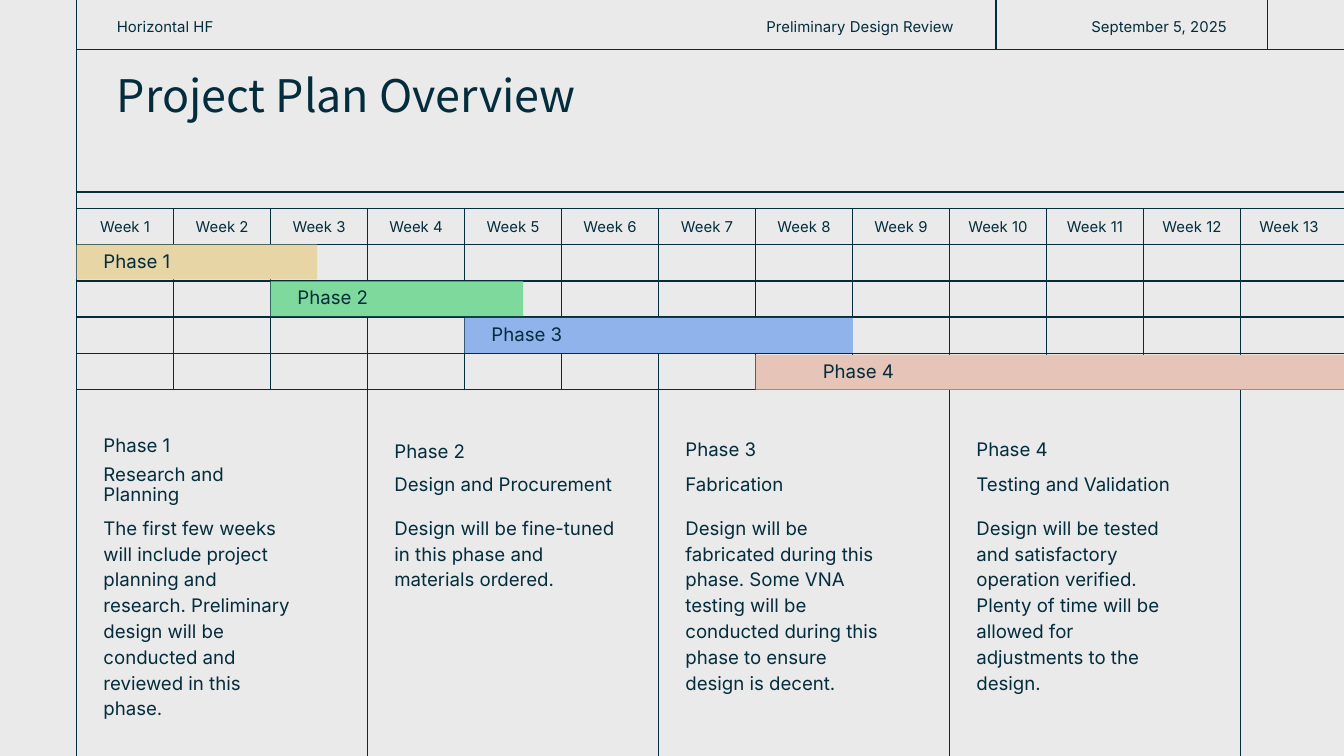
from dataclasses import dataclass
from pptx import Presentation
from pptx.dml.color import RGBColor as Rgb
from pptx.enum.shapes import MSO_CONNECTOR as Conn, MSO_SHAPE as Kind
from pptx.enum.text import MSO_ANCHOR as Anchor, PP_ALIGN as Align
from pptx.oxml.ns import qn
from pptx.util import Inches, Pt
from lxml.etree import SubElement


@dataclass(frozen=True)
class Theme:
    paper: str = "EAEAEA"
    ink: str = "032C3C"
    font: str = "Inter"
    head: str = "Noto Sans CJK KR"
    small: int = 8
    text: int = 10
    title: int = 24
    rule: float = 0.75


THEME = Theme()
WIDE = 10
HIGH = WIDE * 9 / 16
LEFT, TOP, ROW = 0.57, 1.55, 0.27
WEEKS, ROWS = 13, 5
STEP = (9.23 - LEFT) / (WEEKS - 1)
BAR_TOP, BAR_STEP = 1.82, (2.64 - 1.82) / 3

BARS = [
    (0, 1.79, "E7D5A6", 0.2),
    (2, 1.88, "7EDA9C", 0.2),
    (4, 2.89, "90B3EC", 0.2),
    (7, 4.38, "E6C5B8", 0.5),
]
PHASES = [
    (3.12, 1.79, "Research and Planning",
     "The first few weeks will include project planning and research. "
     "Preliminary design will be conducted and reviewed in this phase."),
    (3.16, 1.99, "Design and Procurement",
     "Design will be fine-tuned in this phase and materials ordered."),
    (3.15, 1.79, "Fabrication",
     "Design will be fabricated during this phase. Some VNA testing will be "
     "conducted during this phase to ensure design is decent."),
    (3.15, 1.79, "Testing and Validation",
     "Design will be tested and satisfactory operation verified. Plenty of "
     "time will be allowed for adjustments to the design."),
]


def week_x(col):
    return LEFT + col * STEP


def add_line(slide, x1, y1, x2, y2):
    line = slide.shapes.add_connector(
        Conn.STRAIGHT, Inches(x1), Inches(y1), Inches(x2), Inches(y2))
    line.line.color.rgb = Rgb.from_string(THEME.ink)
    line.line.width = Pt(THEME.rule)
    SubElement(line._element.spPr, qn("a:effectLst"))


def add_text(slide, text, x, y, w, h, *, size=THEME.text, font=THEME.font,
             fill=None, pad=(0.2, 0.1, 0.1, 0.1), align=Align.LEFT,
             anchor=Anchor.MIDDLE, gap=0.9):
    area = [Inches(v) for v in (x, y, w, h)]
    if fill:
        box = slide.shapes.add_shape(Kind.RECTANGLE, *area)
        box.shadow.inherit = False
        box.fill.solid()
        box.fill.fore_color.rgb = Rgb.from_string(fill)
        box.line.fill.background()
    else:
        box = slide.shapes.add_textbox(*area)
    frame = box.text_frame
    frame.word_wrap = True
    frame.vertical_anchor = anchor
    (frame.margin_left, frame.margin_top,
     frame.margin_right, frame.margin_bottom) = [Inches(v) for v in pad]
    para = frame.paragraphs[0]
    para.alignment = align
    para.line_spacing = gap
    run = para.add_run()
    run.text = text
    run.font.size = Pt(size)
    run.font.name = font
    run.font.color.rgb = Rgb.from_string(THEME.ink)


def add_header(slide):
    add_line(slide, LEFT, 0.37, WIDE, 0.37)
    for x in (7.41, 9.43):
        add_line(slide, x, 0, x, 0.37)
    add_line(slide, LEFT, 1.43, WIDE, 1.43)
    style = dict(size=THEME.small, gap=1.15)
    add_text(slide, "Horizontal HF", LEFT, 0, 3.2, 0.37,
             pad=(0.3, 0.1, 0.1, 0.1), **style)
    for text, x, w in (("Preliminary Design Review", 4.47, 2.93),
                       ("September 5, 2025", 7.41, 2.02)):
        add_text(slide, text, x, 0, w, 0.37, align=Align.RIGHT,
                 pad=(0.1, 0.1, 0.3, 0.1), **style)
    add_text(slide, "Project Plan Overview", LEFT, 0.35, 8.86, 0.71,
             size=THEME.title, font=THEME.head, gap=1,
             pad=(0.3, 0.1, 0.1, 0.1))


def add_grid(slide):
    for row in range(ROWS + 1):
        y = TOP + row * ROW
        add_line(slide, LEFT, y, WIDE, y)
    add_line(slide, LEFT, 0, LEFT, HIGH)
    for col in range(1, WEEKS):
        x = week_x(col)
        end = TOP + ROWS * ROW if col % 3 else HIGH
        add_line(slide, x, TOP, x, end)
    for col in range(WEEKS):
        add_text(slide, f"Week {col + 1}", week_x(col), TOP, STEP, ROW,
                 size=THEME.small, pad=(0, 0, 0, 0), align=Align.CENTER, gap=1)


def add_bars(slide):
    for row, (col, w, fill, inset) in enumerate(BARS):
        add_text(slide, f"Phase {row + 1}", week_x(col),
                 BAR_TOP + row * BAR_STEP, w, 0.26, fill=fill,
                 pad=(inset, 0.1, 0.1, 0.1))


def add_phases(slide):
    for num, (y, w, name, note) in enumerate(PHASES):
        x = week_x(num * 3)
        add_text(slide, f"Phase {num + 1}", x, y, 1.79, 0.41)
        add_text(slide, name, x, 3.41, w, 0.41)
        add_text(slide, note, x, 3.82, w, 1.45, gap=1.15,
                 pad=(0.2, 0, 0.1, 0.1), anchor=Anchor.TOP)


def main():
    deck = Presentation()
    deck.slide_width, deck.slide_height = Inches(WIDE), Inches(HIGH)
    slide = deck.slides.add_slide(deck.slide_layouts[6])
    back = slide.background.fill
    back.solid()
    back.fore_color.rgb = Rgb.from_string(THEME.paper)
    add_header(slide)
    add_grid(slide)
    add_bars(slide)
    add_phases(slide)
    deck.save("out.pptx")


if __name__ == "__main__":
    main()
